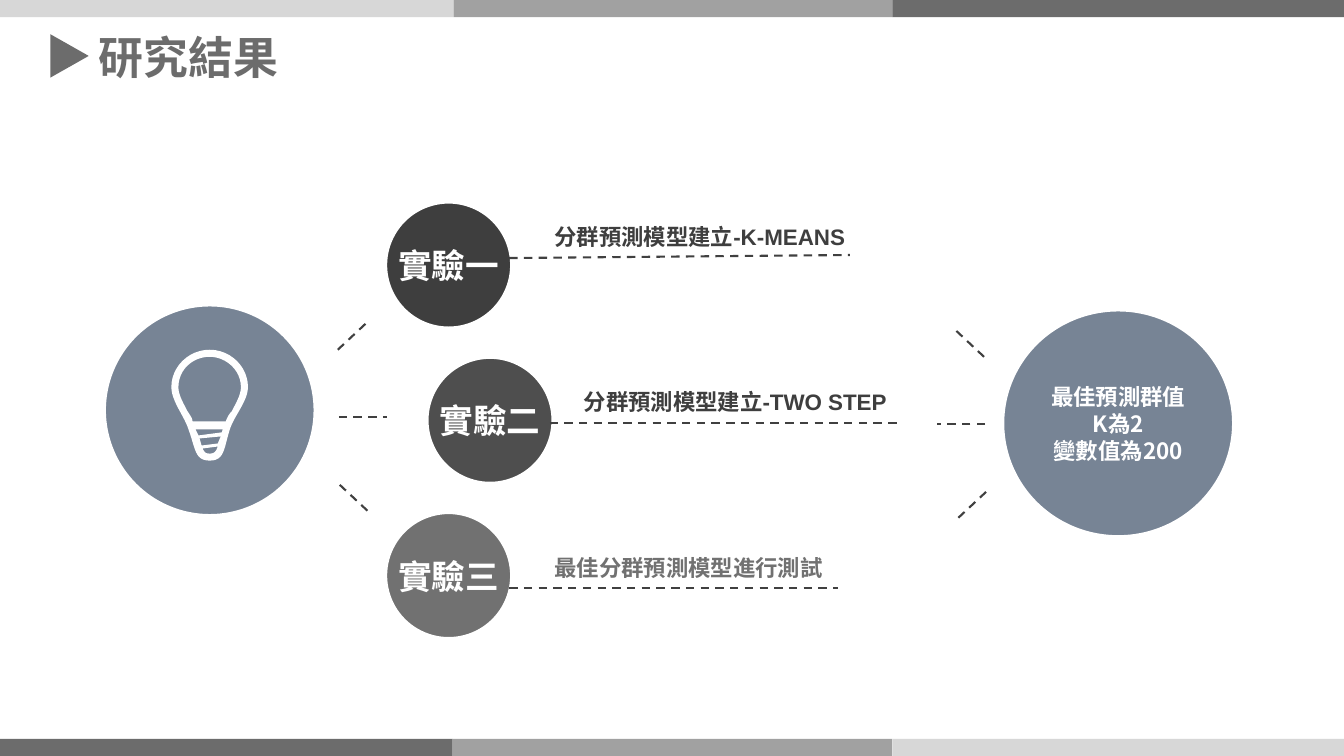
from pptx import Presentation
from pptx.dml.color import RGBColor
from pptx.enum.dml import MSO_LINE_DASH_STYLE as DASH
from pptx.enum.shapes import MSO_CONNECTOR as CONNECTOR, MSO_SHAPE as SHAPE
from pptx.enum.text import MSO_ANCHOR as ANCHOR, PP_ALIGN as ALIGN
from pptx.oxml.ns import qn
from pptx.util import Inches, Pt

COLORS = {
    "white": "FFFFFF", "light": "D7D7D7", "middle": "A1A1A1", "dark": "6C6C6C",
    "slate": "778495", "dash": "404040",
    "first": "3E3E3E", "second": "4E4E4E", "third": "717171",
}
CJK_FONT = "Noto Sans CJK SC"
LABEL_FONT = "Arial"

BULB_CONTOURS = [
    [[(38, 0)], [(17, 0), (0, 17), (0, 37)], [(0, 51), (13, 66), (17, 79)],
     [(24, 98), (23, 110), (38, 110)], [(53, 110), (52, 98), (58, 79)],
     [(62, 66), (76, 51), (76, 37)], [(76, 17), (59, 0), (38, 0)]],
    [[(46, 93)], [(30, 95)], [(28, 88)], [(49, 86)]],
    [[(27, 85)], [(24, 79)], [(51, 79)], [(50, 82)]],
    [[(38, 103)], [(34, 103), (33, 102), (31, 98)], [(46, 96)],
     [(44, 102), (42, 103), (38, 103)]],
    [[(54, 71)], [(21, 71)], [(21, 68), (18, 64), (16, 61)],
     [(12, 53), (7, 45), (7, 37)], [(7, 20), (21, 7), (38, 7)],
     [(54, 7), (69, 20), (69, 37)], [(69, 45), (64, 53), (60, 61)],
     [(57, 64), (55, 68), (54, 71)]],
]


def rgb(name):
    return RGBColor.from_string(COLORS[name])


def add_filled(page, kind, box, fill, outlined=False):
    shape = page.shapes.add_shape(kind, *map(Inches, box))
    shape.shadow.inherit = False
    shape.fill.solid()
    shape.fill.fore_color.rgb = rgb(fill)
    if outlined:
        shape.line.color.rgb = rgb("white")
        shape.line.width = Pt(1.5)
    else:
        shape.line.fill.background()
    return shape


def add_dash(page, start, end):
    line = page.shapes.add_connector(CONNECTOR.STRAIGHT, *map(Inches, (*start, *end)))
    line.line.color.rgb = rgb("dash")
    line.line.width = Pt(1.5)
    line.line.dash_style = DASH.DASH
    properties = line._element.spPr
    properties.append(properties.makeelement(qn("a:effectLst"), {}))


def write(shape, lines, size, color, font=CJK_FONT, align=ALIGN.LEFT):
    frame = shape.text_frame
    for index, text in enumerate(lines):
        para = frame.add_paragraph() if index else frame.paragraphs[0]
        para.alignment = align
        para.font.name = font
        para.font.size = Pt(size)
        para.font.bold = True
        para.font.color.rgb = rgb(color)
        span = para.add_run()
        span.text = text
        properties = span._r.get_or_add_rPr()
        properties.append(properties.makeelement(qn("a:ea"), {"typeface": CJK_FONT}))


def set_insets(frame, left, top, right, bottom):
    frame.margin_left, frame.margin_top = Inches(left), Inches(top)
    frame.margin_right, frame.margin_bottom = Inches(right), Inches(bottom)


def add_band(page, left, top, bars):
    for width, color in bars:
        add_filled(page, SHAPE.RECTANGLE, (left, top, width, 0.17), color)
        left += width


def add_title(page, left, top, text):
    arrow = add_filled(page, SHAPE.RIGHT_ARROW, (left, top + 0.09, 0.38, 0.43), "dark")
    arrow.adjustments[0], arrow.adjustments[1] = 0.5, 1
    title = page.shapes.add_textbox(*map(Inches, (left + 0.38, top, 6.64, 0.64)))
    title.text_frame.word_wrap = True
    write(title, [text], 32, "dark")


def add_experiment(page, left, top, name, label, fill, label_color, label_at, line_ends):
    circle = add_filled(page, SHAPE.OVAL, (left, top, 1.24, 1.24), fill, True)
    frame = circle.text_frame
    frame.word_wrap = False
    frame.vertical_anchor = ANCHOR.MIDDLE
    set_insets(frame, 0.13, 0.13, 0.13, 0.13)
    write(circle, [name], 24, "white", align=ALIGN.CENTER)

    (start_x, start_y), (end_x, end_y) = line_ends
    add_dash(page, (left + start_x, top + start_y), (left + end_x, top + end_y))

    label_x, label_y = label_at
    caption = page.shapes.add_textbox(
        *map(Inches, (left + label_x, top + label_y, 3.5, 0.37)))
    frame = caption.text_frame
    frame.word_wrap = True
    frame.vertical_anchor = ANCHOR.MIDDLE
    set_insets(frame, 0.24, 0.05, 0.1, 0.05)
    write(caption, [label], 16, label_color, LABEL_FONT)


def add_spokes(page, left, top, direction):
    for row, (run, rise) in enumerate([(0.31, -0.29), (0.48, 0), (0.31, 0.29)]):
        x, y = left + 0.01 * row, top + 0.67 * row
        add_dash(page, (x, y), (x + direction * run, y + rise))


def trace(contour):
    points = [contour[0][0]]
    for segment in contour[1:]:
        if len(segment) == 1:
            points += segment
            continue
        a, (b, c, d) = points[-1], segment
        for step in range(1, 13):
            t = step / 12
            u = 1 - t
            points.append(tuple(
                u**3 * a[i] + 3 * u * u * t * b[i] + 3 * u * t * t * c[i] + t**3 * d[i]
                for i in (0, 1)))
    return [(Inches(x / 100), Inches(y / 100)) for x, y in points]


def add_bulb(page, left, top):
    outline, *holes = map(trace, BULB_CONTOURS)
    builder = page.shapes.build_freeform(*outline[0])
    builder.add_line_segments(outline[1:], close=True)
    for hole in holes:
        builder.move_to(*hole[0])
        builder.add_line_segments(hole[1:], close=True)
    bulb = builder.convert_to_shape(Inches(left), Inches(top))
    bulb.shadow.inherit = False
    bulb.fill.solid()
    bulb.fill.fore_color.rgb = rgb("white")
    bulb.line.fill.background()


def add_idea(page, left, top):
    add_filled(page, SHAPE.OVAL, (left, top, 2.08, 2.08), "slate", True)
    add_bulb(page, left + 0.66, top + 0.44)


def add_conclusion(page, left, top, lines):
    circle = add_filled(page, SHAPE.OVAL, (left, top, 2.28, 2.24), "slate", True)
    circle.text_frame.word_wrap = True
    circle.text_frame.vertical_anchor = ANCHOR.MIDDLE
    write(circle, lines, 16, "white", align=ALIGN.CENTER)


def main():
    deck = Presentation()
    deck.slide_width, deck.slide_height = Inches(13.33), Inches(7.5)
    page = deck.slides.add_slide(deck.slide_layouts[6])

    add_band(page, 0, 7.33, [(4.49, "dark"), (4.36, "middle"), (4.48, "light")])
    add_title(page, 0.5, 0.25, "研究結果")
    add_band(page, 0, 0, [(4.5, "light"), (4.35, "middle"), (4.48, "dark")])

    experiments = [
        (3.83, "實驗一", "分群預測模型建立-K-MEANS", "first", "first",
         (1.43, 0.15), ((1.22, 0.55), (4.6, 0.52))),
        (4.24, "實驗二", "分群預測模型建立-TWO STEP", "second", "first",
         (1.31, 0.25), ((1.21, 0.65), (4.67, 0.65))),
        (3.83, "實驗三", "最佳分群預測模型進行測試", "third", "third",
         (1.43, 0.36), ((1.22, 0.74), (4.48, 0.74))),
    ]
    for row, (left, *details) in enumerate(experiments):
        add_experiment(page, left, 2.01 + 1.54 * row, *details)

    add_spokes(page, 3.35, 3.47, 1)
    add_idea(page, 1.04, 3.03)
    add_spokes(page, 9.76, 3.54, -1)
    add_conclusion(page, 9.95, 3.08, ["最佳預測群值", "K為2", "變數值為200"])

    deck.save("out.pptx")


if __name__ == "__main__":
    main()
